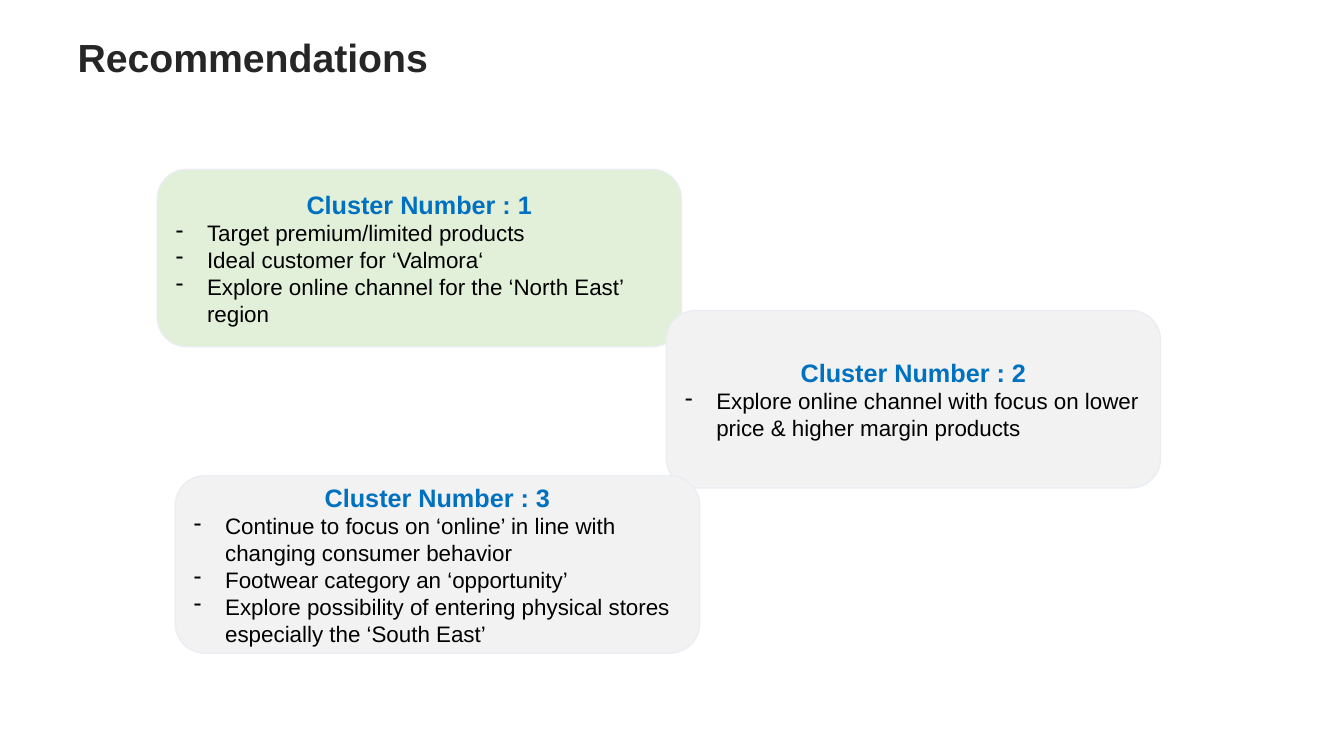
from dataclasses import dataclass

from lxml import etree
from pptx import Presentation
from pptx import util as u
from pptx.dml.color import RGBColor
from pptx.enum import shapes, text
from pptx.oxml.ns import qn


@dataclass(frozen=True)
class Theme:
    font: str = "Arial"
    title_size: float = 28
    heading_size: float = 18
    body_size: float = 16
    title: str = "262626"
    heading: str = "0070C0"
    body: str = "000000"
    border: str = "EAEDF2"
    highlight: str = "E2F0D9"
    neutral: str = "F2F2F2"


THEME = Theme()
WIDTH, HEIGHT = u.Inches(13.33), u.Inches(7.5)
INDENT = u.Inches(0.31)

# Boxes are left, top, width, height in percent of the slide
TITLE_BOX = (5.03, 2.67, 89.8, 10.4)
CARD_HEIGHT = 23.47
CARDS = [
    ((11.7, 22.4, 39.01, CARD_HEIGHT), THEME.highlight, [
        "Target premium/limited products",
        "Ideal customer for ‘Valmora‘",
        "Explore online channel for the ‘North East’ region",
    ]),
    ((49.59, 41.07, 36.76, CARD_HEIGHT), THEME.neutral, [
        "Explore online channel with focus on lower price & higher margin products",
    ]),
    ((13.05, 62.93, 39.01, CARD_HEIGHT), THEME.neutral, [
        "Continue to focus on ‘online’ in line with changing consumer behavior",
        "Footwear category an ‘opportunity’",
        "Explore possibility of entering physical stores especially the ‘South East’",
    ]),
]


def place(box):
    """Turn percentages of the slide into lengths."""
    return [int(side * share / 100)
            for side, share in zip((WIDTH, HEIGHT, WIDTH, HEIGHT), box)]


def write(p, words, size, color, bold=False, align=text.PP_ALIGN.LEFT):
    p.text = words
    p.alignment = align
    p.font.name = THEME.font
    p.font.size = u.Pt(size)
    p.font.bold = bold
    p.font.color.rgb = RGBColor.from_string(color)


def add_dash(p):
    pPr = p._p.get_or_add_pPr()
    pPr.set("marL", str(INDENT))
    pPr.set("indent", str(-INDENT))
    bullet = etree.Element(qn("a:buChar"), char="-")
    pPr.insert_element_before(bullet, "a:tabLst", "a:defRPr", "a:extLst")


def add_title(slide, box, words):
    tf = slide.shapes.add_textbox(*place(box)).text_frame
    tf.word_wrap = True
    tf.vertical_anchor = text.MSO_ANCHOR.MIDDLE
    p = tf.paragraphs[0]
    write(p, words, THEME.title_size, THEME.title, bold=True)
    p.line_spacing = 0.9


def add_card(slide, box, fill, heading, points):
    sp = slide.shapes.add_shape(shapes.MSO_SHAPE.ROUNDED_RECTANGLE, *place(box))
    sp.shadow.inherit = False
    sp.fill.solid()
    sp.fill.fore_color.rgb = RGBColor.from_string(fill)
    sp.line.color.rgb = RGBColor.from_string(THEME.border)
    sp.line.width = u.Pt(1)

    # Centred heading, then dashed points
    tf = sp.text_frame
    tf.word_wrap = True
    tf.vertical_anchor = text.MSO_ANCHOR.MIDDLE
    write(tf.paragraphs[0], heading, THEME.heading_size, THEME.heading,
          bold=True, align=text.PP_ALIGN.CENTER)
    for point in points:
        p = tf.add_paragraph()
        write(p, point, THEME.body_size, THEME.body)
        add_dash(p)


def main():
    prs = Presentation()
    prs.slide_width, prs.slide_height = WIDTH, HEIGHT
    slide = prs.slides.add_slide(prs.slide_layouts[6])
    add_title(slide, TITLE_BOX, "Recommendations")
    for number, (box, fill, points) in enumerate(CARDS, start=1):
        add_card(slide, box, fill, f"Cluster Number : {number}", points)
    prs.save("out.pptx")


if __name__ == "__main__":
    main()
